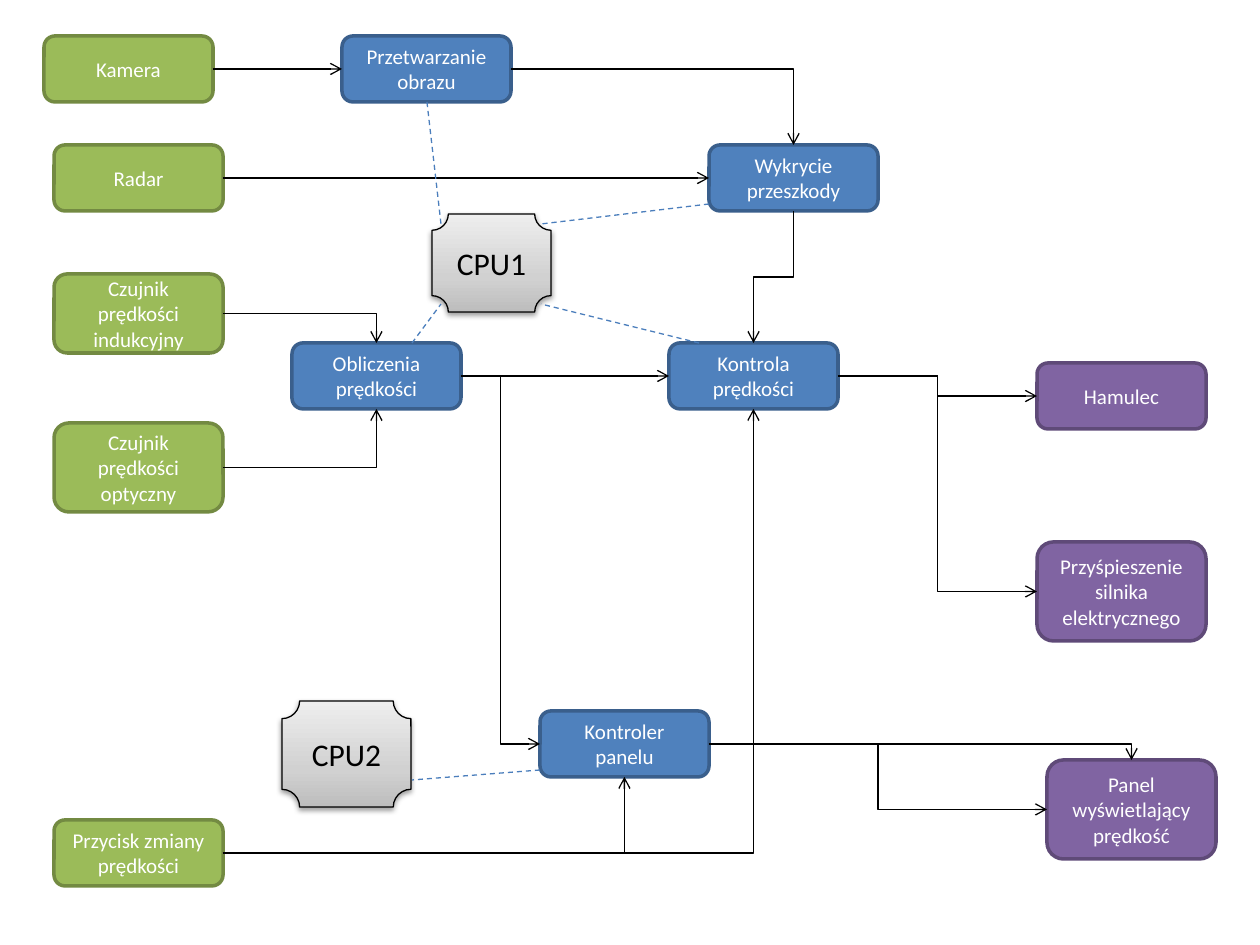
from copy import deepcopy

from lxml.etree import SubElement
from pptx import Presentation
from pptx.dml.color import RGBColor
from pptx.enum.dml import MSO_LINE
from pptx.enum.shapes import MSO_CONNECTOR as CXN, MSO_SHAPE as SHAPE
from pptx.enum.text import MSO_ANCHOR, PP_ALIGN
from pptx.oxml.ns import qn
from pptx.util import Pt

PX = 914400 / 126
FONT = "Calibri"
NODE_W, NODE_H = 169, 66
TOP, LEFT, BOTTOM, RIGHT = range(4)

SENSOR = ("9BBB59", "738A42")
PROCESS = ("4F81BD", "3A5F8C")
OUTPUT = ("8064A2", "5F4A78")

NODES = {
    "camera": ("Kamera", SENSOR, 44, 36, NODE_H),
    "radar": ("Radar", SENSOR, 54, 145, NODE_H),
    "inductive": ("Czujnik prędkości indukcyjny", SENSOR, 54, 274, 79),
    "optical": ("Czujnik prędkości optyczny", SENSOR, 54, 423, 89),
    "button": ("Przycisk zmiany prędkości", SENSOR, 54, 820, NODE_H),
    "imaging": ("Przetwarzanie obrazu", PROCESS, 342, 36, NODE_H),
    "obstacle": ("Wykrycie przeszkody", PROCESS, 709, 145, NODE_H),
    "speed": ("Obliczenia prędkości", PROCESS, 292, 343, NODE_H),
    "control": ("Kontrola prędkości", PROCESS, 669, 343, NODE_H),
    "panel_ctrl": ("Kontroler panelu", PROCESS, 540, 711, NODE_H),
    "brake": ("Hamulec", OUTPUT, 1037, 363, NODE_H),
    "engine": ("Przyśpieszenie silnika elektrycznego", OUTPUT, 1037, 542, 99),
    "display": ("Panel wyświetlający prędkość", OUTPUT, 1047, 760, 99),
}

WIRES = [
    ("camera", RIGHT, "imaging", LEFT, "line"),
    ("radar", RIGHT, "obstacle", LEFT, "line"),
    ("speed", RIGHT, "control", LEFT, "line"),
    ("imaging", RIGHT, "obstacle", TOP, "bentConnector2"),
    ("inductive", RIGHT, "speed", TOP, "bentConnector2"),
    ("optical", RIGHT, "speed", BOTTOM, "bentConnector2"),
    ("button", RIGHT, "panel_ctrl", BOTTOM, "bentConnector2"),
    ("button", RIGHT, "control", BOTTOM, "bentConnector2"),
    ("panel_ctrl", RIGHT, "display", TOP, "bentConnector2"),
    ("panel_ctrl", RIGHT, "display", LEFT, "bentConnector3"),
    ("speed", RIGHT, "panel_ctrl", LEFT, "bentConnector3"),
    ("control", RIGHT, "brake", LEFT, "bentConnector3"),
    ("control", RIGHT, "engine", LEFT, "bentConnector3"),
    ("obstacle", BOTTOM, "control", TOP, "bentConnector3"),
]

CPUS = [
    ("CPU1", 432, 214, 119, 98),
    ("CPU2", 282, 701, 129, 106),
]

CPU_LINKS = [
    (427, 102, 441, 224),
    (709, 204, 541, 224),
    (412, 343, 441, 304),
    (699, 343, 541, 304),
    (540, 770, 412, 780),
]


def emu(px):
    return round(px * PX)


def color(value):
    return RGBColor.from_string(value)


def add_box(s, kind, text, size, ink, line, width, box):
    sp = s.shapes.add_shape(kind, *map(emu, box))
    sp.shadow.inherit = False
    sp.line.color.rgb = color(line)
    sp.line.width = Pt(width)
    tf = sp.text_frame
    tf.word_wrap = True
    tf.vertical_anchor = MSO_ANCHOR.MIDDLE
    p = tf.paragraphs[0]
    p.alignment = PP_ALIGN.CENTER
    r = p.add_run()
    r.text = text
    r.font.name = FONT
    r.font.size = Pt(size)
    r.font.color.rgb = color(ink)
    return sp


def add_node(s, text, style, x, y, h):
    fill, line = style
    sp = add_box(s, SHAPE.ROUNDED_RECTANGLE, text, 12, "FFFFFF", line, 2, (x, y, NODE_W, h))
    sp.fill.solid()
    sp.fill.fore_color.rgb = color(fill)
    return sp


def add_cpu(s, text, x, y, w, h):
    sp = add_box(s, SHAPE.PLAQUE, text, 18, "000000", "000000", 0.75, (x, y, w, h))
    sp.fill.gradient()
    sp.fill.gradient_angle = 90
    props = sp._element.spPr
    stops = props.find(".//" + qn("a:gsLst"))
    stops.append(deepcopy(stops[0]))
    tones = [(0, "BDBDBD"), (0.35, "D1D1D1"), (1, "EEEEEE")]
    for stop, (position, tone) in zip(sp.fill.gradient_stops, tones):
        stop.position = position
        stop.color.rgb = color(tone)
    shadow = SubElement(props.find(qn("a:effectLst")), qn("a:outerShdw"),
                        blurRad=str(Pt(3.1)), dist=str(Pt(1.6)), dir="5400000", rotWithShape="0")
    black = SubElement(shadow, qn("a:srgbClr"), val="000000")
    SubElement(black, qn("a:alpha"), val="38000")


def style_line(cx, value):
    cx.line.color.rgb = color(value)
    cx.line.width = Pt(0.75)
    SubElement(cx._element.spPr, qn("a:effectLst"))


def turn_downward(cx):
    x, y, w, h = cx.left, cx.top, cx.width, cx.height
    cx.left, cx.top = x + (w - h) // 2, y + (h - w) // 2
    cx.width, cx.height = h, w
    xfrm = cx._element.spPr.find(qn("a:xfrm"))
    xfrm.attrib.pop("flipH", None)
    xfrm.set("rot", "5400000")


def add_wire(s, start, start_site, end, end_site, preset):
    kind = CXN.STRAIGHT if preset == "line" else CXN.ELBOW
    cx = s.shapes.add_connector(kind, start.left, start.top, end.left, end.top)
    cx.begin_connect(start, start_site)
    cx.end_connect(end, end_site)
    cx._element.spPr.find(qn("a:prstGeom")).set("prst", preset)
    if start_site == BOTTOM:
        turn_downward(cx)
    style_line(cx, "000000")
    SubElement(cx.line._get_or_add_ln(), qn("a:tailEnd"), type="arrow")


def add_cpu_link(s, points):
    cx = s.shapes.add_connector(CXN.STRAIGHT, *map(emu, points))
    style_line(cx, "4B7EBC")
    cx.line.dash_style = MSO_LINE.DASH


def main():
    prs = Presentation()
    prs.slide_width, prs.slide_height = emu(1260), emu(945)
    s = prs.slides.add_slide(prs.slide_layouts[6])
    nodes = {name: add_node(s, *node) for name, node in NODES.items()}
    for start, start_site, end, end_site, preset in WIRES:
        add_wire(s, nodes[start], start_site, nodes[end], end_site, preset)
    for cpu in CPUS:
        add_cpu(s, *cpu)
    for points in CPU_LINKS:
        add_cpu_link(s, points)
    prs.save("out.pptx")


if __name__ == "__main__":
    main()
